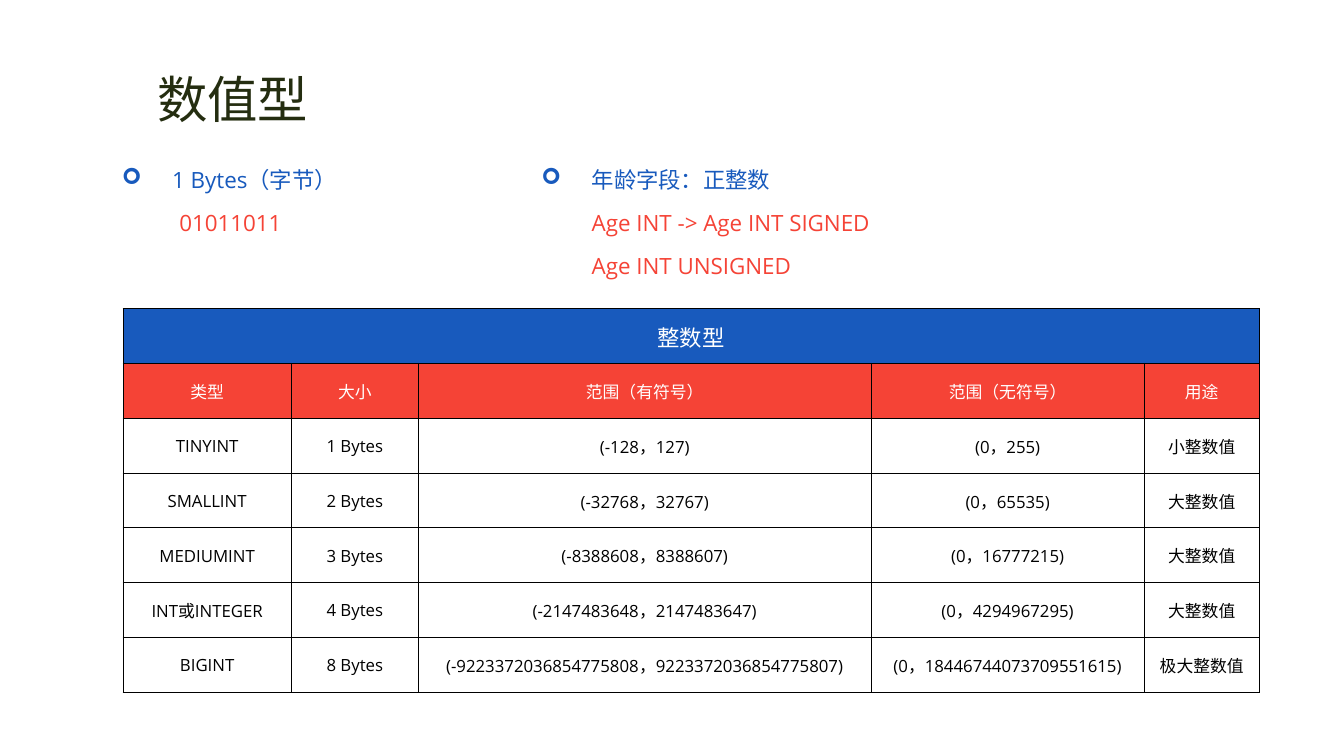
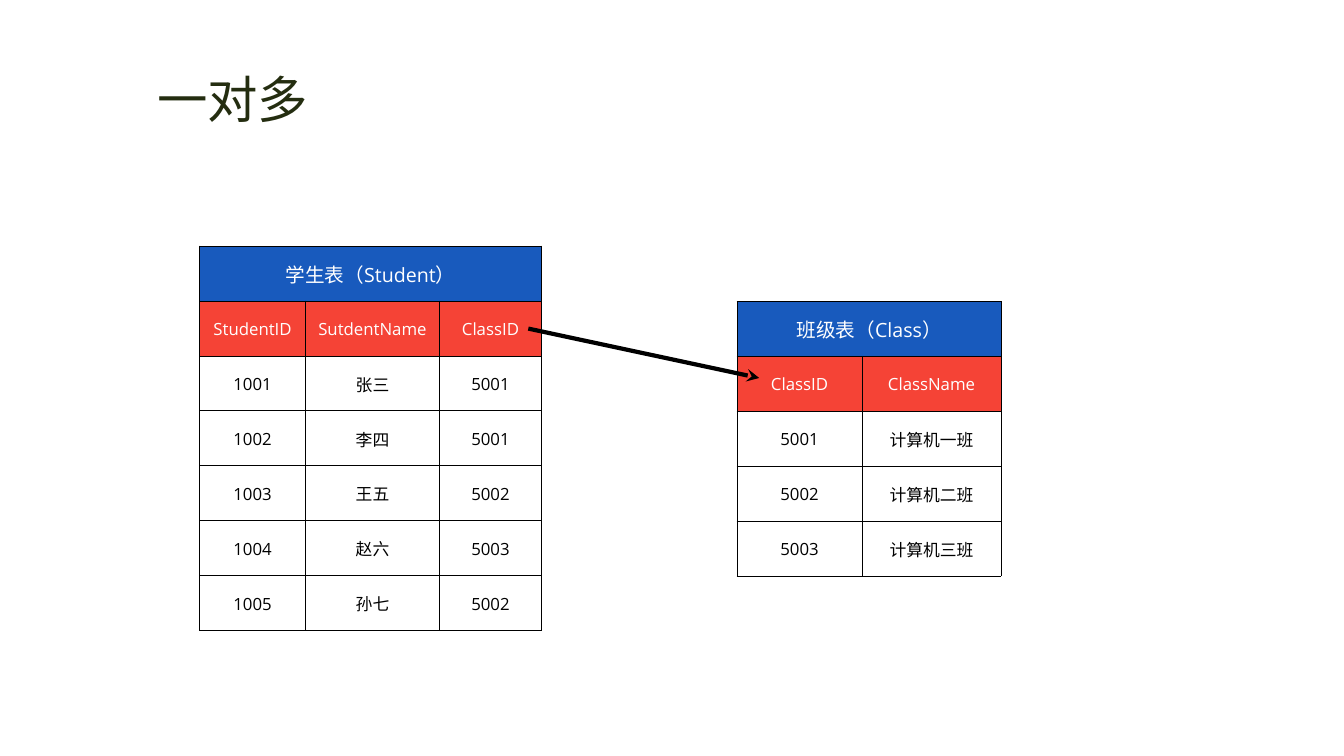
from lxml.etree import SubElement
from pptx import Presentation
from pptx.dml.color import RGBColor
from pptx.enum.shapes import MSO_CONNECTOR
from pptx.enum.text import MSO_ANCHOR, PP_ALIGN
from pptx.oxml.ns import qn
from pptx.util import Inches, Pt

FONT = "Open Sans"
BLUE, RED, WHITE, BLACK, TITLE_COLOR = "185ABD", "F54336", "FFFFFF", "000000", "242D10"

NOTES = [
    {"left": 1.11, "width": 3.33, "indent": 0.57,
     "heading": "1 Bytes（字节）", "lines": ["01011011"]},
    {"left": 5.27, "width": 4.05, "indent": 0.5,
     "heading": "年龄字段：正整数",
     "lines": ["Age INT -> Age INT SIGNED", "Age INT UNSIGNED"]},
]
NOTE_TOP, NOTE_LINE = 1.44, 0.43

INTEGER_TYPES = {
    "title": "整数型", "title_size": 16, "left": 1.22, "top": 3.06, "row_height": 0.544,
    "widths": [1.67, 1.26, 4.49, 2.71, 1.14],
    "rows": [
        ("类型", "大小", "范围（有符号）", "范围（无符号）", "用途"),
        ("TINYINT", "1 Bytes", "(-128，127)", "(0，255)", "小整数值"),
        ("SMALLINT", "2 Bytes", "(-32768，32767)", "(0，65535)", "大整数值"),
        ("MEDIUMINT", "3 Bytes", "(-8388608，8388607)", "(0，16777215)", "大整数值"),
        ("INT或INTEGER", "4 Bytes", "(-2147483648，2147483647)", "(0，4294967295)", "大整数值"),
        ("BIGINT", "8 Bytes", "(-9223372036854775808，9223372036854775807)",
         "(0，18446744073709551615)", "极大整数值"),
    ],
}
STUDENTS = {
    "title": "学生表（Student）", "title_size": 14, "left": 1.98, "top": 2.44,
    "row_height": 0.545, "widths": [1.05, 1.33, 1.01],
    "rows": [
        ("StudentID", "SutdentName", "ClassID"),
        ("1001", "张三", "5001"),
        ("1002", "李四", "5001"),
        ("1003", "王五", "5002"),
        ("1004", "赵六", "5003"),
        ("1005", "孙七", "5002"),
    ],
}
CLASSES = {
    "title": "班级表（Class）", "title_size": 14, "left": 7.31, "top": 2.99,
    "row_height": 0.545, "widths": [1.24, 1.38],
    "rows": [
        ("ClassID", "ClassName"),
        ("5001", "计算机一班"),
        ("5002", "计算机二班"),
        ("5003", "计算机三班"),
    ],
}
KEY_ARROW = ((5.24, 3.26), (7.53, 3.75))


def rgb(color):
    return RGBColor.from_string(color)


def write(para, text, size, color):
    para.text = text
    para.font.name = FONT
    para.font.size = Pt(size)
    para.font.color.rgb = rgb(color)


def add_titled_page(deck, title):
    page = deck.slides.add_slide(deck.slide_layouts[6])
    box = page.shapes.add_textbox(Inches(1.46), Inches(0.63), Inches(1.72), Inches(0.71))
    box.text_frame.word_wrap = False
    write(box.text_frame.paragraphs[0], title, 36, TITLE_COLOR)
    return page


def add_note(page, note):
    height = NOTE_LINE * (1 + len(note["lines"])) + 0.05
    box = page.shapes.add_textbox(Inches(note["left"]), Inches(NOTE_TOP),
                                  Inches(note["width"]), Inches(height))
    frame = box.text_frame
    frame.word_wrap = True
    heading = frame.paragraphs[0]
    write(heading, note["heading"], 16, BLUE)
    heading.line_spacing = 1.6
    properties = heading._p.get_or_add_pPr()
    properties.set("marL", str(Inches(0.5)))
    properties.set("indent", str(-Inches(0.5)))
    SubElement(properties, qn("a:buFont"), typeface="Wingdings")
    SubElement(properties, qn("a:buChar"), char="➢")
    for line in note["lines"]:
        para = frame.add_paragraph()
        write(para, line, 16, RED)
        para.line_spacing = 1.6
        para._p.get_or_add_pPr().set("marL", str(Inches(note["indent"])))


def add_borders(cell):
    properties = cell._tc.get_or_add_tcPr()
    for side in ("a:lnL", "a:lnR", "a:lnT", "a:lnB"):
        line = SubElement(properties, qn(side), w=str(Pt(0.5)))
        fill = SubElement(line, qn("a:solidFill"))
        SubElement(fill, qn("a:srgbClr"), val=BLACK)


def fill_cell(cell, text, size, color, background):
    add_borders(cell)
    if background:
        cell.fill.solid()
        cell.fill.fore_color.rgb = rgb(background)
    else:
        cell.fill.background()
    cell.vertical_anchor = MSO_ANCHOR.MIDDLE
    cell.margin_left = cell.margin_right = cell.margin_top = Inches(0.01)
    cell.margin_bottom = 0
    para = cell.text_frame.paragraphs[0]
    write(para, text, size, color)
    para.alignment = PP_ALIGN.CENTER


def add_data_table(page, data):
    widths, rows = data["widths"], data["rows"]
    row_count = len(rows) + 1
    frame = page.shapes.add_table(
        row_count, len(widths), Inches(data["left"]), Inches(data["top"]),
        Inches(sum(widths)), Inches(data["row_height"] * row_count))
    table = frame.table
    table.first_row = table.horz_banding = False
    for column, width in zip(table.columns, widths):
        column.width = Inches(width)
    for row in table.rows:
        row.height = Inches(data["row_height"])
    for column in range(len(widths)):
        title = "" if column else data["title"]
        fill_cell(table.cell(0, column), title, data["title_size"], WHITE, BLUE)
    table.cell(0, 0).merge(table.cell(0, len(widths) - 1))
    for number, values in enumerate(rows, 1):
        color, background = (WHITE, RED) if number == 1 else (BLACK, None)
        for column, value in enumerate(values):
            fill_cell(table.cell(number, column), value, 12, color, background)


def add_arrow(page, start, end):
    arrow = page.shapes.add_connector(
        MSO_CONNECTOR.STRAIGHT, *(Inches(value) for value in start + end))
    arrow.line.color.rgb = rgb(BLACK)
    arrow.line.width = Pt(3)
    SubElement(arrow.line._get_or_add_ln(), qn("a:tailEnd"), type="stealth")
    SubElement(arrow._element.spPr, qn("a:effectLst"))


def main():
    deck = Presentation()
    deck.slide_width, deck.slide_height = Inches(13.33), Inches(7.5)

    numeric_page = add_titled_page(deck, "数值型")
    for note in NOTES:
        add_note(numeric_page, note)
    add_data_table(numeric_page, INTEGER_TYPES)

    relation_page = add_titled_page(deck, "一对多")
    for data in (STUDENTS, CLASSES):
        add_data_table(relation_page, data)
    add_arrow(relation_page, *KEY_ARROW)

    deck.save("out.pptx")


if __name__ == "__main__":
    main()
